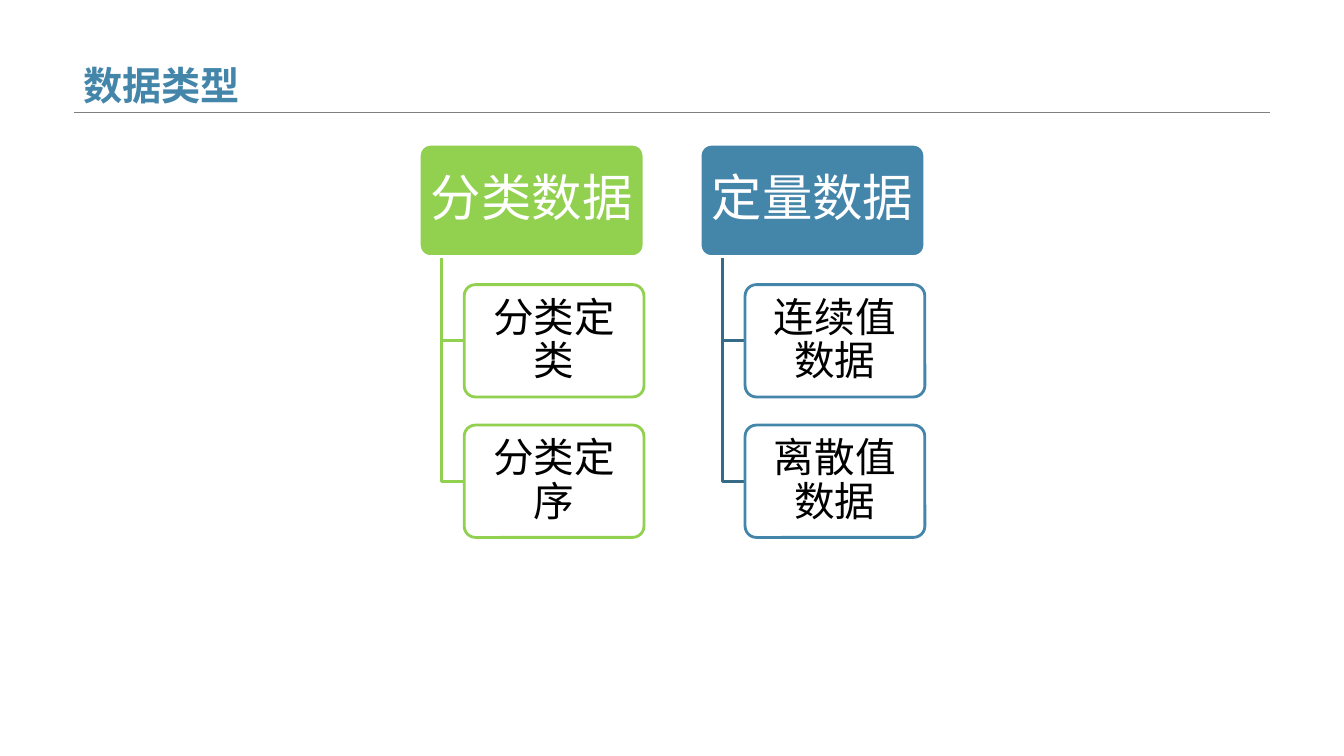
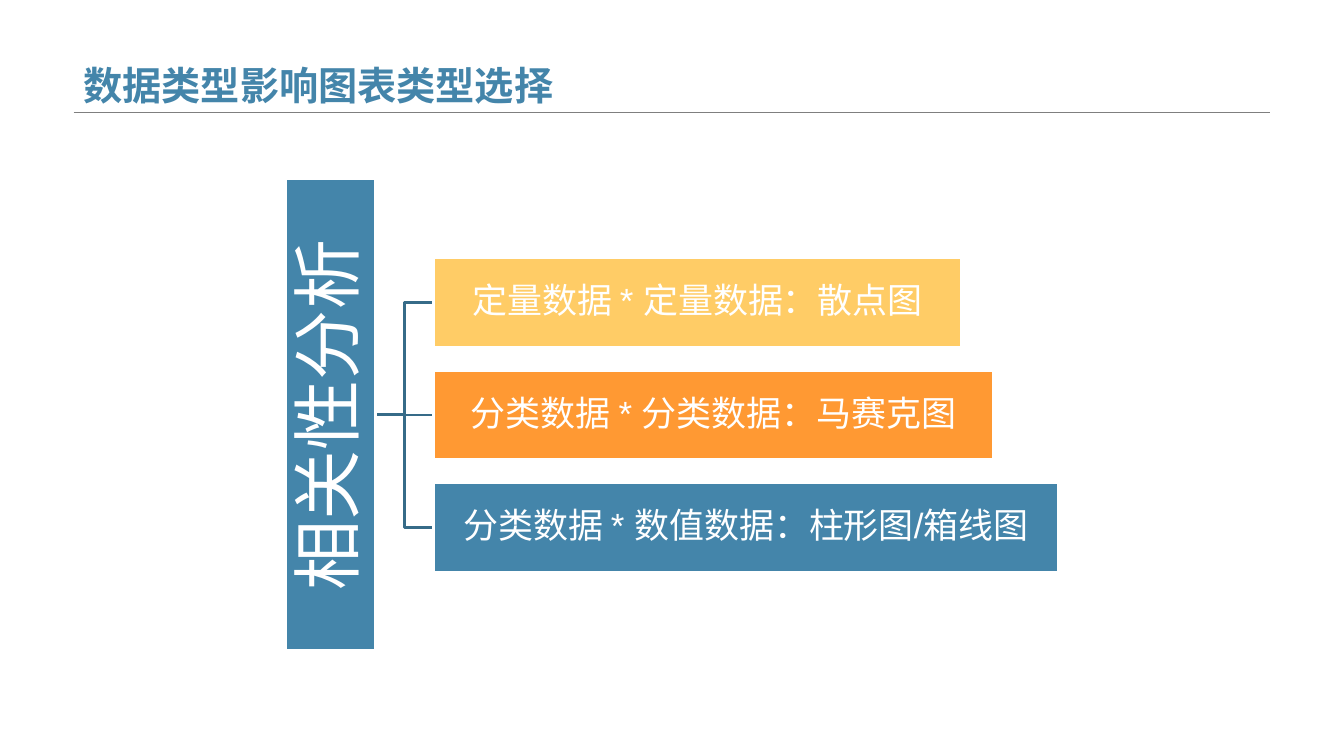
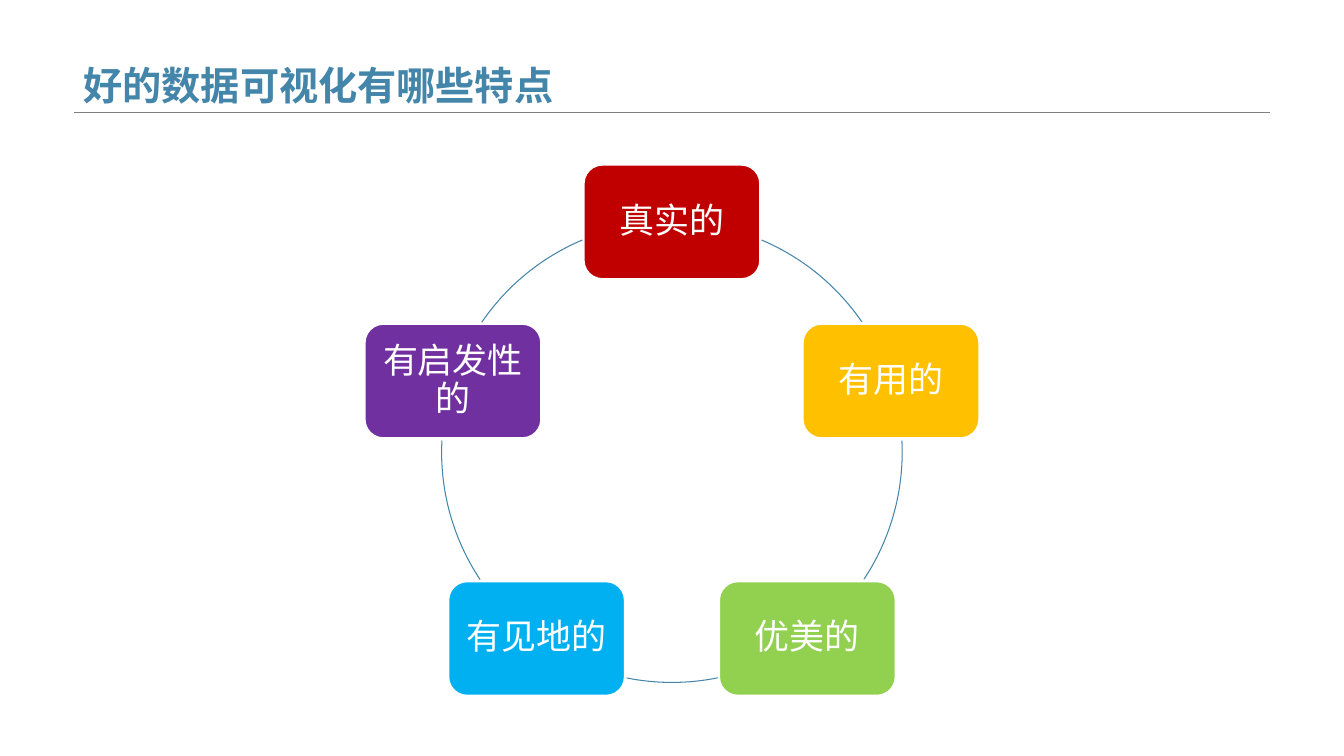
from math import cos, radians, sin

from lxml.etree import SubElement
from pptx import Presentation
from pptx.dml.color import RGBColor
from pptx.enum.shapes import MSO_CONNECTOR, MSO_SHAPE
from pptx.enum.text import MSO_ANCHOR, PP_ALIGN
from pptx.oxml.ns import qn
from pptx.util import Pt

BLUE = RGBColor(0x44, 0x85, 0xAA)
DARK_BLUE = RGBColor(0x36, 0x6B, 0x88)
GREEN = RGBColor(0x92, 0xD0, 0x50)
YELLOW = RGBColor(0xFF, 0xCC, 0x66)
ORANGE = RGBColor(0xFF, 0x99, 0x33)
RED = RGBColor(0xC0, 0x00, 0x00)
GOLD = RGBColor(0xFF, 0xC0, 0x00)
SKY = RGBColor(0x00, 0xB0, 0xF0)
PURPLE = RGBColor(0x70, 0x30, 0xA0)
GREY = RGBColor(0x7F, 0x7F, 0x7F)
WHITE = RGBColor(0xFF, 0xFF, 0xFF)
BLACK = RGBColor(0x00, 0x00, 0x00)

RULE_LEFT, RULE_RIGHT, RULE_Y = 52.6, 907.2, 80.6


def add_text(s, text, x, y, w, h, kind=None, fill=WHITE, line=WHITE, size=25,
             color=WHITE, bold=False, align=PP_ALIGN.CENTER,
             anchor=MSO_ANCHOR.MIDDLE, spacing=0.9, inset=(7.2, 7.2)):
    """Add text in a preset shape, or in a plain text box when kind is None."""
    box = Pt(x), Pt(y), Pt(w), Pt(h)
    if kind is None:
        sp = s.shapes.add_textbox(*box)
    else:
        sp = s.shapes.add_shape(kind, *box)
        sp.shadow.inherit = False
        sp.fill.solid()
        sp.fill.fore_color.rgb = fill
        sp.line.color.rgb = line
        sp.line.width = Pt(2)
    tf = sp.text_frame
    tf.word_wrap = True
    tf.vertical_anchor = anchor
    tf.margin_left = tf.margin_right = Pt(inset[0])
    tf.margin_top = tf.margin_bottom = Pt(inset[1])
    p = tf.paragraphs[0]
    p.alignment = align
    p.line_spacing = spacing
    r = p.add_run()
    r.text = text
    r.font.name = "Arial"
    r.font.size = Pt(size)
    r.font.bold = bold
    r.font.color.rgb = color
    r._r.get_or_add_rPr().set("lang", "zh-CN")
    return sp


def add_line(s, kind, x1, y1, x2, y2, color, width):
    c = s.shapes.add_connector(kind, Pt(x1), Pt(y1), Pt(x2), Pt(y2))
    c.line.color.rgb = color
    c.line.width = Pt(width)
    SubElement(c._element.spPr, qn("a:effectLst"))
    return c


prs = Presentation()
prs.slide_width, prs.slide_height = Pt(960), Pt(540)

slides = []
for title in ("数据类型", "数据类型影响图表类型选择", "好的数据可视化有哪些特点"):
    s = prs.slides.add_slide(prs.slide_layouts[6])
    add_line(s, MSO_CONNECTOR.STRAIGHT, RULE_LEFT, RULE_Y, RULE_RIGHT, RULE_Y,
             GREY, 0.75)
    add_text(s, title, RULE_LEFT, 0, RULE_RIGHT - RULE_LEFT, RULE_Y, size=28,
             color=BLUE, bold=True, align=PP_ALIGN.LEFT,
             anchor=MSO_ANCHOR.BOTTOM, spacing=1.5, inset=(7.2, 3.6))
    slides.append(s)
types_slide, charts_slide, traits_slide = slides

# Slide 1: two hierarchies, all measures derived from the header width
head_w = 160.5
head_h = head_w / 2
row_pitch = head_h * 1.25
top = 103
hierarchies = [
    ("分类数据", GREEN, GREEN, ("分类定类", "分类定序")),
    ("定量数据", BLUE, DARK_BLUE, ("连续值数据", "离散值数据")),
]
for col, (head, color, branch_color, children) in enumerate(hierarchies):
    left = 299.5 + col * head_w * 1.25
    trunk_x, child_x = left + head_w / 10, left + head_w / 5
    for row, child in enumerate(children, 1):
        y = top + row * row_pitch
        mid_y = y + head_h / 2
        path = types_slide.shapes.build_freeform(Pt(trunk_x), Pt(top + head_h))
        path.add_line_segments([(Pt(trunk_x), Pt(mid_y)),
                                (Pt(child_x), Pt(mid_y))], close=False)
        branch = path.convert_to_shape()
        branch.shadow.inherit = False
        branch.fill.background()
        branch.line.color.rgb = branch_color
        branch.line.width = Pt(2)
        sp = add_text(types_slide, child, child_x, y, head_w * 0.8, head_h,
                      MSO_SHAPE.ROUNDED_RECTANGLE, line=color, size=29,
                      color=BLACK, inset=(4.3, 2.9))
        sp.adjustments[0] = 0.1
    sp = add_text(types_slide, head, left, top, head_w, head_h,
                  MSO_SHAPE.ROUNDED_RECTANGLE, fill=color, size=36,
                  inset=(4.5, 3.6))
    sp.adjustments[0] = 0.1

# Slide 2: vertical root bar with three branches
bar_h, bar_pitch, bar_x, mid_y = 64, 80.2, 309.6, 296.4
root_h = 337
root = add_text(charts_slide, "相关性分析", 204.2, mid_y - root_h / 2, bar_h,
                root_h, MSO_SHAPE.RECTANGLE, fill=BLUE, size=50, inset=(2, 2))
root.text_frame._txBody.bodyPr.set("vert", "vert270")
bars = [
    ("定量数据 * 定量数据：散点图", YELLOW, 377.3),
    ("分类数据 * 分类数据：马赛克图", ORANGE, 400.3),
    ("分类数据 * 数值数据：柱形图/箱线图", BLUE, 446.4),
]
for i, (text, color, width) in enumerate(bars):
    y = mid_y + (i - 1) * bar_pitch - bar_h / 2
    bar = add_text(charts_slide, text, bar_x, y, width, bar_h,
                   MSO_SHAPE.RECTANGLE, fill=color, inset=(1.5, 1.5))
    kind = MSO_CONNECTOR.STRAIGHT if i == 1 else MSO_CONNECTOR.ELBOW
    c = add_line(charts_slide, kind, 0, 0, 0, 0, DARK_BLUE, 2)
    c.begin_connect(root, 3)
    c.end_connect(bar, 1)
    # Connectors lie behind the boxes so the white borders trim them
    charts_slide.shapes._spTree.insert(2, c._element)

# Slide 3: five traits clockwise on a circle, each followed by an arc
center_x, center_y, radius = 480, 323, 164.5
node_w, node_h = 126.7, 82.3
traits = [
    ("真实的", RED, 292.9, 325.7),
    ("有用的", GOLD, 357.1, 33.6),
    ("优美的", GREEN, 78.5, 101.5),
    ("有见地的", SKY, 146.4, 182.9),
    ("有启发性的", PURPLE, 214.3, 247.1),
]
for i, (text, color, arc_start, arc_end) in enumerate(traits):
    angle = radians(i * 360 / len(traits) - 90)
    add_text(traits_slide, text,
             center_x + radius * cos(angle) - node_w / 2,
             center_y + radius * sin(angle) - node_h / 2,
             node_w, node_h, MSO_SHAPE.ROUNDED_RECTANGLE, fill=color)
    arc = traits_slide.shapes.add_shape(
        MSO_SHAPE.ARC, Pt(center_x - radius), Pt(center_y - radius),
        Pt(2 * radius), Pt(2 * radius))
    arc.shadow.inherit = False
    arc.fill.background()
    arc.line.color.rgb = BLUE
    arc.line.width = Pt(0.75)
    # Arc angles are stored in 60000ths of a degree, adjustments in 100000ths
    arc.adjustments[0] = arc_start * 0.6
    arc.adjustments[1] = arc_end * 0.6

prs.save("out.pptx")
